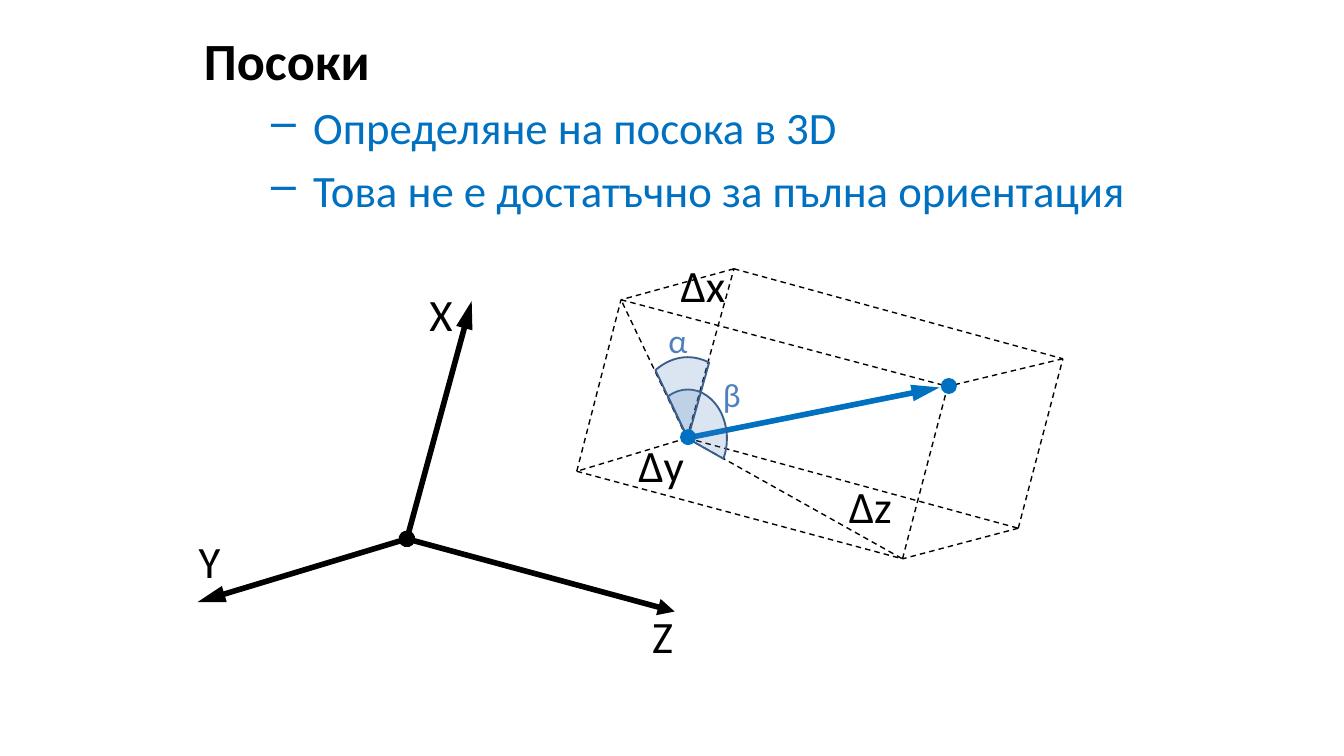
from itertools import combinations

from lxml import etree
from pptx import Presentation
from pptx.dml.color import RGBColor
from pptx.enum.dml import MSO_LINE
from pptx.enum.shapes import MSO_CONNECTOR, MSO_SHAPE
from pptx.enum.text import MSO_ANCHOR, PP_ALIGN
from pptx.oxml.ns import qn
from pptx.util import Pt

STRAIGHT = MSO_CONNECTOR.STRAIGHT
OVAL, PIE = MSO_SHAPE.OVAL, MSO_SHAPE.PIE
DASH = MSO_LINE.DASH
TOP = MSO_ANCHOR.TOP
CENTER = PP_ALIGN.CENTER

BLACK = RGBColor(0x00, 0x00, 0x00)
BLUE = RGBColor(0x00, 0x70, 0xC0)
STEEL = RGBColor(0x4F, 0x81, 0xBD)
NAVY = RGBColor(0x3A, 0x5F, 0x8C)

CORNERS = {
    "": (368, 234.7), "x": (393.2, 144), "y": (309, 252.5), "z": (545.5, 283),
    "xy": (332.7, 160.6), "yz": (483.5, 299.4), "xz": (569.4, 192.2), "xyz": (507.7, 207),
}
ORIGIN = CORNERS[""]
AXIS_ORIGIN = (218, 288.7)
AXES = [
    ((252.7, 161.3), {"tail": ("triangle", "lg")}),
    ((361.4, 327.6), {"head": ("oval", "med"), "tail": ("triangle", "med")}),
    ((105.8, 322.6), {"tail": ("triangle", "lg")}),
]
LABELS = [
    ("X", 236.2, 149.8, 24, BLACK), ("Y", 112.3, 282.2, 24, BLACK),
    ("Z", 355, 322.6, 24, BLACK), ("Δx", 376.6, 134.6, 24, BLACK),
    ("Δy", 354.2, 231.1, 24, BLACK), ("Δz", 466.2, 252.7, 24, BLACK),
    ("α", 363.2, 167.8, 18, STEEL), ("β", 392, 196.6, 18, STEEL),
]
SECTORS = [(41.8, 52.6, 244.7, 29.6), (64, 87.2, 244.7, 285.7)]
HEADING = "Посоки"
POINTS = ["Определяне на посока в 3D", "Това не е достатъчно за пълна ориентация"]


class Deck:
    """Hold the style and the current slide, with a method for each kind of element."""

    font = "Calibri"

    def __init__(self, width, height):
        self.prs = Presentation()
        self.prs.slide_width, self.prs.slide_height = Pt(width), Pt(height)
        self.s = self.prs.slides.add_slide(self.prs.slide_layouts[6])

    def box(self, x, y, w, h, inset):
        tf = self.s.shapes.add_textbox(Pt(x), Pt(y), Pt(w), Pt(h)).text_frame
        frame = {"word_wrap": True, "vertical_anchor": TOP,
                 "margin_left": Pt(inset), "margin_right": Pt(inset)}
        for name, value in frame.items():
            setattr(tf, name, value)
        return tf

    def run(self, p, text, size, color, bold=False):
        r = p.add_run()
        r.text = text
        for name, value in {"name": self.font, "size": Pt(size), "bold": bold}.items():
            setattr(r.font, name, value)
        r.font.color.rgb = color

    def outline(self, x, y, w, h, heading, points):
        tf = self.box(x, y, w, h, 7.2)
        self.run(tf.paragraphs[0], heading, 28, BLACK, True)
        for point in points:
            p = tf.add_paragraph()
            pPr = p._p.get_or_add_pPr()
            pPr.set("marL", str(Pt(58.5)))
            pPr.set("indent", str(Pt(-22.5)))
            etree.SubElement(pPr, qn("a:buChar")).set("char", "–")
            p.space_before = Pt(4.8)
            self.run(p, point, 24, BLUE)

    def label(self, text, center, top, size, color):
        tf = self.box(center - 20, top, 40, 36, 0)
        p = tf.paragraphs[0]
        p.alignment = CENTER
        self.run(p, text, size, color)

    def line(self, start, end, color, width, dash=None, **ends):
        c = self.s.shapes.add_connector(STRAIGHT, *map(Pt, start + end))
        c.line.color.rgb = color
        c.line.width = Pt(width)
        if dash:
            c.line.dash_style = dash
        ln = c._element.spPr.find(qn("a:ln"))
        for side, (kind, length) in ends.items():
            end_mark = etree.SubElement(ln, qn(f"a:{side}End"))
            for name, value in {"type": kind, "w": "med", "len": length}.items():
                end_mark.set(name, value)
        etree.SubElement(c._element.spPr, qn("a:effectLst"))

    def shape(self, kind, center, w, h, fill):
        x, y = center
        sp = self.s.shapes.add_shape(kind, Pt(x - w / 2), Pt(y - h / 2), Pt(w), Pt(h))
        sp.shadow.inherit = False
        sp.fill.solid()
        sp.fill.fore_color.rgb = fill
        sp.line.fill.background()
        return sp

    def dot(self, center):
        self.shape(OVAL, center, 8.6, 8.6, BLUE)

    def sector(self, center, w, h, start, end):
        sp = self.shape(PIE, center, w, h, STEEL)
        for i, degrees in enumerate((start, end)):
            sp.adjustments[i] = degrees * 0.6
        color = sp._element.spPr.find(qn("a:solidFill"))[0]
        etree.SubElement(color, qn("a:alpha")).set("val", "20000")
        sp.line.color.rgb = NAVY
        sp.line.width = Pt(1)


def main():
    deck = Deck(720, 405)
    deck.outline(102.2, 11.5, 617.8, 372, HEADING, POINTS)
    for a, b in combinations(CORNERS, 2):
        is_edge = len(set(a) ^ set(b)) == 1
        is_face_diagonal = a == "" and b in ("xy", "yz")
        if is_edge or is_face_diagonal:
            deck.line(CORNERS[a], CORNERS[b], BLACK, 0.75, DASH)
    deck.dot((508.3, 206.8))
    deck.line(ORIGIN, (503.3, 207.6), BLUE, 3, tail=("triangle", "lg"))
    for end, marks in AXES:
        deck.line(AXIS_ORIGIN, end, BLACK, 3, **marks)
    for sector in SECTORS:
        deck.sector((368.5, 235), *sector)
    deck.dot((368.6, 234.2))
    for label in LABELS:
        deck.label(*label)
    deck.prs.save("out.pptx")


if __name__ == "__main__":
    main()
